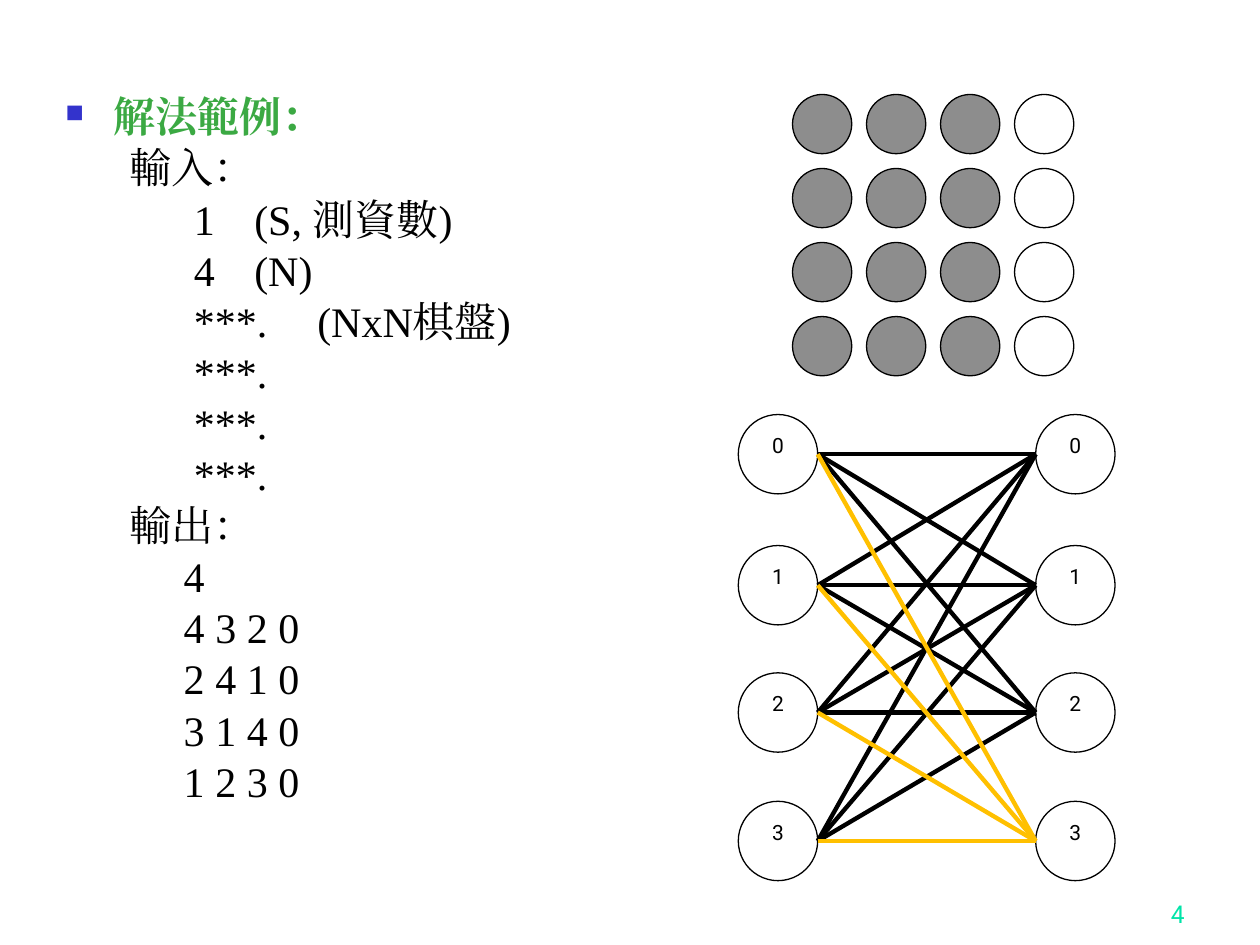
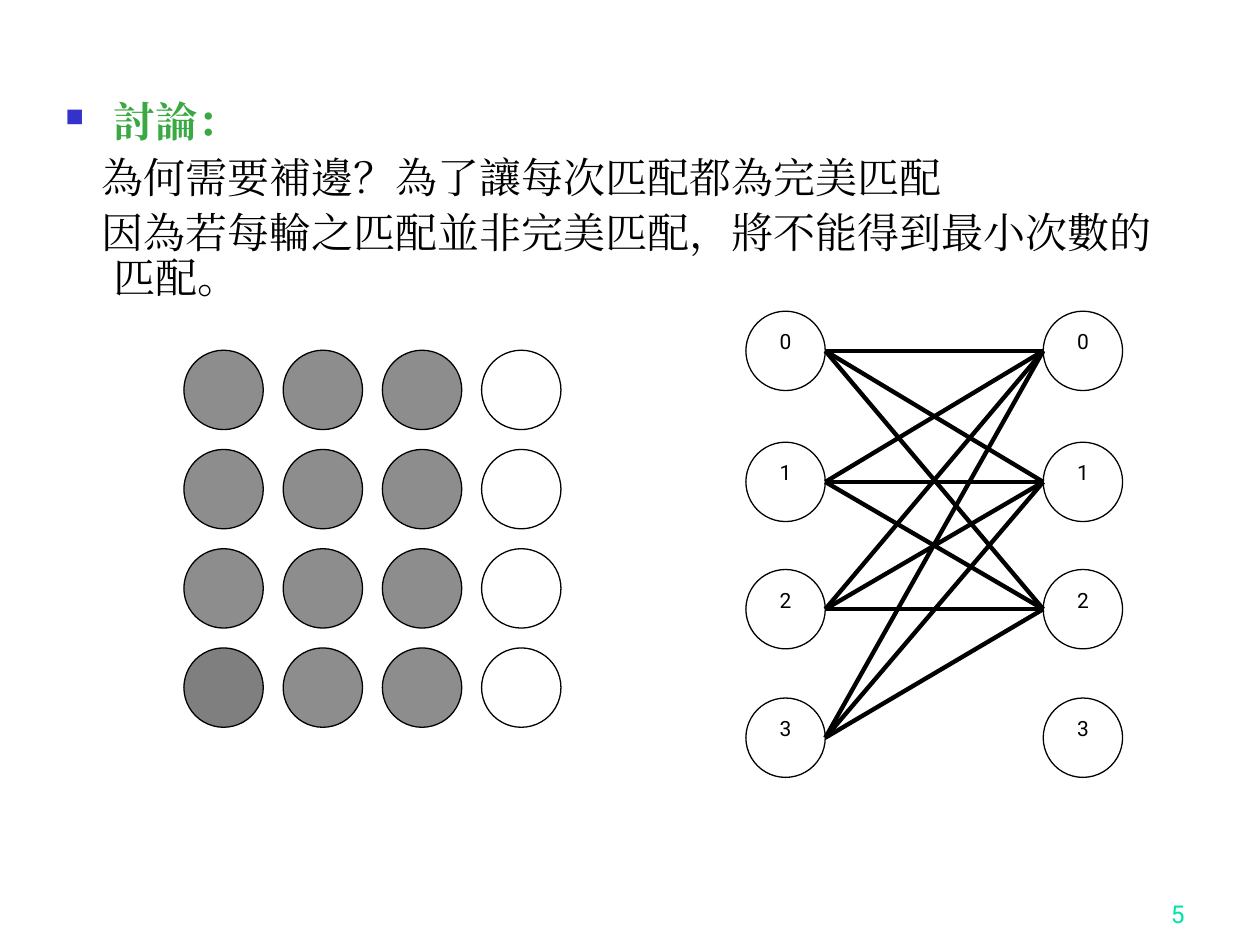
from itertools import product
from lxml.etree import SubElement
from pptx import Presentation
from pptx.dml.color import RGBColor
from pptx.enum.shapes import MSO_CONNECTOR, MSO_SHAPE
from pptx.enum.text import MSO_ANCHOR, PP_ALIGN
from pptx.oxml.ns import qn
from pptx.util import Inches, Pt

BLACK = RGBColor(0x00, 0x00, 0x00)
WHITE = RGBColor(0xFF, 0xFF, 0xFF)
GRAY = RGBColor(0x8D, 0x8D, 0x8D)
DARK = RGBColor(0x7F, 0x7F, 0x7F)
GOLD = RGBColor(0xFF, 0xC0, 0x00)
GREEN = RGBColor(0x3B, 0xA9, 0x43)
BLUE = RGBColor(0x33, 0x33, 0xCC)
MINT = RGBColor(0x00, 0xE4, 0xA8)
SERIF = "Times New Roman"
SANS = "Roboto"
SIZE = 4
NODE = 0.63
REACH = 2.36
DROPS = [0, 1.04, 2.05, 3.07]
INPUT = ["1\t(S, 測資數)", "4\t(N)", "***.\t(NxN棋盤)"] + ["***."] * 3
OUTPUT = ["4", "4 3 2 0", "2 4 1 0", "3 1 4 0", "1 2 3 0"]
SOLVE = (
    [("輸入：", 0, 0.51)]
    + [(line, 0, 1.02) for line in INPUT]
    + [("輸出：", 0, 0.51)]
    + [(line, 0, 0.94) for line in OUTPUT]
)
TALK = [
    ("為何需要補邊？為了讓每次匹配都為完美匹配", 0.38, -0.09),
    ("因為若每輪之匹配並非完美匹配，將不能得到最小次數的匹配。", 0.38, -0.09),
]


def style(para, font, size, color, bold=False):
    para.font.name = font
    para.font.size = Pt(size)
    para.font.color.rgb = color
    para.font.bold = bold


def indent(para, left, first):
    props = para._p.get_or_add_pPr()
    props.set("marL", str(Inches(left)))
    props.set("indent", str(Inches(first)))
    return props


def add_mark(props):
    color = SubElement(props, qn("a:buClr"))
    SubElement(color, qn("a:srgbClr"), val=str(BLUE))
    SubElement(props, qn("a:buSzPct"), val="60000")
    SubElement(props, qn("a:buChar"), char="■")


def add_tab(props, place):
    tabs = SubElement(props, qn("a:tabLst"))
    SubElement(tabs, qn("a:tab"), pos=str(Inches(place)), algn="l")


def add_body(slide, title, lines, pitch):
    box = slide.shapes.add_textbox(Inches(0.42), Inches(0.75), Inches(8.83), Inches(6.15))
    frame = box.text_frame
    frame.word_wrap = True
    for row, (text, left, first) in enumerate([(title, 0.38, -0.38)] + lines):
        para = frame.add_paragraph() if row else frame.paragraphs[0]
        props = indent(para, left, first)
        para.line_spacing = Pt(pitch)
        if row:
            para.space_before = Pt(6)
        else:
            add_mark(props)
        if "\t" in text:
            add_tab(props, 2.1 if "NxN" in text else 2.02)
        run = para.add_run()
        run.text = text
        SubElement(run._r.get_or_add_rPr(), qn("a:ea"), typeface=SERIF)
        style(para, SERIF, 24, BLACK if row else GREEN, not row)


def add_number(slide, number):
    box = slide.shapes.add_textbox(Inches(7.42), Inches(6.92), Inches(2.08), Inches(0.5))
    frame = box.text_frame
    frame.word_wrap = True
    frame.vertical_anchor = MSO_ANCHOR.BOTTOM
    para = frame.paragraphs[0]
    para.text = str(number)
    para.alignment = PP_ALIGN.RIGHT
    style(para, SANS, 14, MINT)


def add_disc(slide, left, top, size, fill):
    disc = slide.shapes.add_shape(
        MSO_SHAPE.OVAL, Inches(left), Inches(top), Inches(size), Inches(size)
    )
    disc.shadow.inherit = False
    disc.fill.solid()
    disc.fill.fore_color.rgb = fill
    disc.line.color.rgb = BLACK
    disc.line.width = Pt(0.75)
    return disc


def add_board(slide, left, top, size, corner=GRAY):
    step = size * 1.25
    for row, col in product(range(SIZE), repeat=2):
        fill = WHITE if col == SIZE - 1 else GRAY
        if (row, col) == (SIZE - 1, 0):
            fill = corner
        add_disc(slide, left + col * step, top + row * step, size, fill)


def add_node(slide, left, top, label):
    frame = add_disc(slide, left, top, NODE, WHITE).text_frame
    frame.word_wrap = False
    frame.vertical_anchor = MSO_ANCHOR.TOP
    para = frame.paragraphs[0]
    para.text = str(label)
    para.alignment = PP_ALIGN.CENTER
    style(para, SANS, 12, BLACK)


def add_edge(slide, left, top, start, end, color):
    mid = top + NODE / 2
    edge = slide.shapes.add_connector(
        MSO_CONNECTOR.STRAIGHT,
        Inches(left + NODE), Inches(mid + DROPS[start]),
        Inches(left + REACH), Inches(mid + DROPS[end]),
    )
    edge.line.color.rgb = color
    edge.line.width = Pt(2.5)
    SubElement(edge._element.spPr, qn("a:effectLst"))


def add_graph(slide, left, top, extra):
    for side in (left, left + REACH):
        for label, drop in enumerate(DROPS):
            add_node(slide, side, top + drop, label)
    for end, start in product(range(SIZE if extra else SIZE - 1), range(SIZE)):
        color = GOLD if end == SIZE - 1 else BLACK
        add_edge(slide, left, top, start, end, color)


def add_slide(deck, number, title, lines, pitch):
    slide = deck.slides.add_slide(deck.slide_layouts[6])
    add_number(slide, number)
    add_body(slide, title, lines, pitch)
    return slide


def main():
    deck = Presentation()
    deck.slide_width = Inches(10)
    deck.slide_height = Inches(7.5)

    solve = add_slide(deck, 4, "解法範例：", SOLVE, 23.2)
    add_board(solve, 6.29, 0.75, 0.47)
    add_graph(solve, 5.86, 3.29, True)

    talk = add_slide(deck, 5, "討論：", TALK, 25.8)
    add_board(talk, 1.46, 2.78, NODE, DARK)
    add_graph(talk, 5.92, 2.47, False)

    deck.save("out.pptx")


if __name__ == "__main__":
    main()
